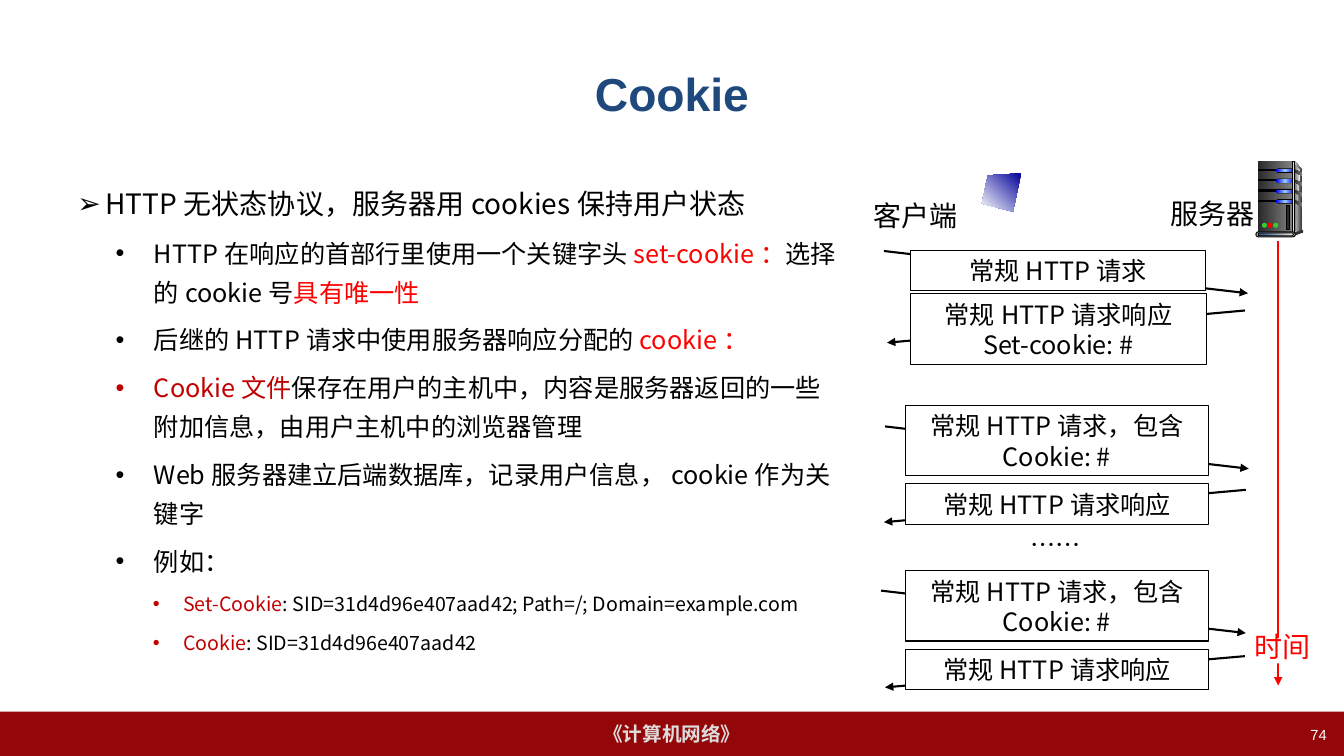
from lxml.etree import SubElement
from pptx import Presentation
from pptx.dml.color import RGBColor as RGB
from pptx.enum.shapes import MSO_CONNECTOR as LINK, MSO_SHAPE as KIND
from pptx.enum.text import MSO_ANCHOR as ANCHOR, PP_ALIGN as ALIGN
from pptx.oxml.ns import qn
from pptx.util import Pt

INK = {
    "black": "000000", "white": "FFFFFF", "red": "FF0000", "dark red": "C00000",
    "navy": "1F497D", "maroon": "940709", "pale": "DDDDDD", "coal": "292929",
    "slate": "333333", "grey": "808080", "mist": "F8F8F8", "green": "33CC33",
    "blue": "0000FF", "sky": "99CCFF", "deep": "000099", "cream": "EEECE1",
}
CJK = "Noto Sans CJK SC"

# Each level: left margin, hanging indent, line height, size, bullet
LEVELS = [(20, -20, 28, 20, "➢"), (54.7, -27.4, 28, 18, "•"), (75.6, -21.6, 22, 14, "•")]
POINTS = [
    (0, [("HTTP无状态协议，服务器用cookies保持用户状态", "black")]),
    (1, [("HTTP在响应的首部行里使用一个关键字头", "black"), ("set-cookie：", "red"),
         ("选择的cookie号", "black"), ("具有唯一性", "red")]),
    (1, [("后继的HTTP请求中使用服务器响应分配的", "black"), ("cookie：", "red")]),
    (1, [("Cookie文件", "dark red"),
         ("保存在用户的主机中，内容是服务器返回的一些附加信息，由用户主机中的浏览器管理", "black")]),
    (1, [("Web服务器建立后端数据库，记录用户信息，cookie作为关键字", "black")]),
    (1, [("例如：", "black")]),
    (2, [("Set-Cookie", "dark red"),
         (": SID=31d4d96e407aad42; Path=/; Domain=example.com", "black")]),
    (2, [("Cookie", "dark red"), (": SID=31d4d96e407aad42", "black")]),
]

ASK, REPLY = "常规HTTP请求", "常规HTTP请求响应"
WITH = ["常规HTTP请求，包含", "Cookie: #"]
# Each message: arrow start, arrow end, box, lines
TALK = [
    ((631.4, 179.3), (891.4, 209.5), (650.2, 178.6, 211, 28.8), [ASK]),
    ((889.2, 221.8), (633.6, 244.8), (650.2, 209.5, 211.7, 51.1), [REPLY, "Set-cookie: #"]),
    ((632.2, 304.6), (892, 334.8), (646.6, 289.4, 216.7, 50.4), WITH),
    ((889.9, 349.9), (631.4, 373), (646.6, 345.6, 216.7, 28.8), [REPLY]),
    ((629.3, 421.9), (889.9, 452.2), (646.6, 407.5, 216.7, 50.4), WITH),
    ((889.2, 468.7), (632.2, 491), (646.6, 463.7, 216.7, 28.8), [REPLY]),
]


def color(name):
    return RGB.from_string(INK[name])


def paint(shape, fill, line=None, turn=0):
    """Fill with one colour name, or with a gradient for a list of names."""
    shape.shadow.inherit = False
    if isinstance(fill, list):
        shape.fill.gradient()
        shape.fill.gradient_angle = (360 - turn) % 360
        stops = shape._element.spPr.find(".//" + qn("a:gsLst"))
        stops.clear()
        for i, name in enumerate(fill):
            stop = SubElement(stops, qn("a:gs"), pos=str(100000 * i // (len(fill) - 1)))
            SubElement(stop, qn("a:srgbClr"), val=INK[name])
    else:
        shape.fill.solid()
        shape.fill.fore_color.rgb = color(fill)
    if line:
        shape.line.color.rgb = color(line)
        shape.line.width = Pt(0.75)
    else:
        shape.line.fill.background()


def block(slide, box, fill, line=None, kind=KIND.RECTANGLE):
    shape = slide.shapes.add_shape(kind, *map(Pt, box))
    if kind == KIND.ROUNDED_RECTANGLE:
        shape.adjustments[0] = 0.5
    paint(shape, fill, line)
    return shape


def outline(slide, spots, fill, turn=0):
    spots = [(Pt(x), Pt(y)) for x, y in spots]
    pen = slide.shapes.build_freeform(*spots[0], scale=1)
    pen.add_line_segments(spots[1:], close=True)
    paint(pen.convert_to_shape(), fill, turn=turn)


def arrow(slide, start, end, name="black"):
    link = slide.shapes.add_connector(LINK.STRAIGHT, *map(Pt, start + end))
    link.line.color.rgb = color(name)
    link.line.width = Pt(1.5)
    SubElement(link.line._get_or_add_ln(), qn("a:tailEnd"), type="triangle")
    SubElement(link._element.spPr, qn("a:effectLst"))


def add_run(para, text, name, size, face=CJK, bold=False):
    run = para.add_run()
    run.text = text
    for key, value in {"size": Pt(size), "name": face, "bold": bold}.items():
        setattr(run.font, key, value)
    run.font.color.rgb = color(name)
    SubElement(run._r.get_or_add_rPr(), qn("a:ea"), typeface=CJK)


def write(shape, lines, name, size, align=ALIGN.CENTER, anchor=ANCHOR.TOP,
          wrap=True, face=CJK, bold=False, pitch=None):
    frame = shape.text_frame
    frame.word_wrap, frame.vertical_anchor = wrap, anchor
    for i, text in enumerate(lines):
        para = frame.add_paragraph() if i else frame.paragraphs[0]
        para.alignment = align
        if pitch:
            para.line_spacing = Pt(pitch)
        add_run(para, text, name, size, face, bold)


def label(slide, box, text, name, size, **look):
    write(slide.shapes.add_textbox(*map(Pt, box)), [text], name, size, **look)


def outlined_list(slide, box):
    frame = slide.shapes.add_textbox(*map(Pt, box)).text_frame
    frame.word_wrap = True
    for i, (level, runs) in enumerate(POINTS):
        left, hang, pitch, size, mark = LEVELS[level]
        para = frame.add_paragraph() if i else frame.paragraphs[0]
        props = para._p.get_or_add_pPr()
        for key, value in {"marL": left, "indent": hang}.items():
            props.set(key, str(Pt(value)))
        SubElement(props, qn("a:buFont"), typeface="Arial")
        SubElement(props, qn("a:buChar"), char=mark)
        for key, value in {"level": level, "line_spacing": Pt(pitch),
                           "space_before": Pt(6 if i else 0)}.items():
            setattr(para, key, value)
        for text, name in runs:
            add_run(para, text, name, size)


def server(slide):
    pill, dot = KIND.ROUNDED_RECTANGLE, KIND.OVAL
    outline(slide, [(925.2, 115.2), (930.2, 121.7), (930.2, 164.2), (923.8, 166.3)],
            ["pale", "slate"])
    block(slide, (898.6, 115.2, 24.5, 51.8), ["coal", "grey"])
    outline(slide, [(925.2, 118), (928.8, 122.4), (926.4, 145), (925.2, 165)],
            ["grey", "mist"])
    for i in range(4):
        top = 120.3 + 7.3 * i
        block(slide, (899.3, top + 0.7, 13.7, 1), "black", "black")
        block(slide, (911.5, top, 13.7, 3.2), "black", kind=pill)
        block(slide, (911.5, top + 0.5, 13, 2.3), ["blue", "sky", "blue"], kind=pill)
        outline(slide, [(924.5, top + 0.7), (930.2, top + 3.1), (930.2, top + 5.5),
                        (924.5, top + 2.4)], ["coal", "grey"])
    block(slide, (923, 115.2, 1.4, 51.8), ["slate", "pale", "slate"], "black")
    block(slide, (929.5, 164.2, 1.4, 2.2), "slate", kind=dot)
    outline(slide, [(924.5, 166.3), (924.5, 168.5), (930.2, 166.3), (930.2, 164.2)], "slate")
    block(slide, (897.1, 165.6, 28.1, 3.6), "pale", "black", pill)
    block(slide, (898.6, 166.3, 25.2, 2.2), ["navy", "cream"], "black", pill)
    for i, name in enumerate(["green", "red", "green"]):
        block(slide, (901.4 + 4 * i, 159.1, 3.6, 3.6), name, kind=dot)
    block(slide, (918.7, 146.9, 2.2, 17.3), "coal", "black")


def main():
    deck = Presentation()
    deck.slide_width, deck.slide_height = Pt(960), Pt(540)
    slide = deck.slides.add_slide(deck.slide_layouts[6])

    band = block(slide, (0, 508.3, 960, 31.7), "maroon")
    write(band, ["《计算机网络》"], "pale", 14, anchor=ANCHOR.MIDDLE,
          wrap=False, face="Arial", bold=True)
    label(slide, (48, 21.6, 864, 90), "Cookie", "navy", 33,
          anchor=ANCHOR.MIDDLE, face="Arial", bold=True)
    outlined_list(slide, (48.2, 126, 557.3, 356.4))
    label(slide, (730.8, 514.8, 223.9, 25.2), "74", "white", 10.5,
          align=ALIGN.RIGHT, face="Arial")

    tag = {"align": ALIGN.LEFT, "wrap": False, "pitch": 24.5}
    label(slide, (617, 137.5, 74.4, 31.7), "客户端", "black", 20, **tag)
    label(slide, (828.7, 136.1, 74.4, 31.7), "服务器", "black", 20, **tag)
    for start, end, box, lines in TALK:
        arrow(slide, start, end)
        write(block(slide, box, "white", "black"), lines, "black", 18, pitch=22)
    arrow(slide, (913, 172.1), (913, 489.6), "red")
    block(slide, (898.6, 455.8, 45.4, 18), "white")
    label(slide, (889.2, 445.7, 54.7, 31.7), "时间", "red", 20, **tag)
    label(slide, (728.6, 374.4, 51.1, 28.8), "……", "black", 18, pitch=22)
    server(slide)
    outline(slide, [(729.4, 123.8), (705.6, 125.3), (701.3, 145.4), (723.6, 151.2)],
            ["deep", "white"], 135)
    deck.save("out.pptx")


if __name__ == "__main__":
    main()
